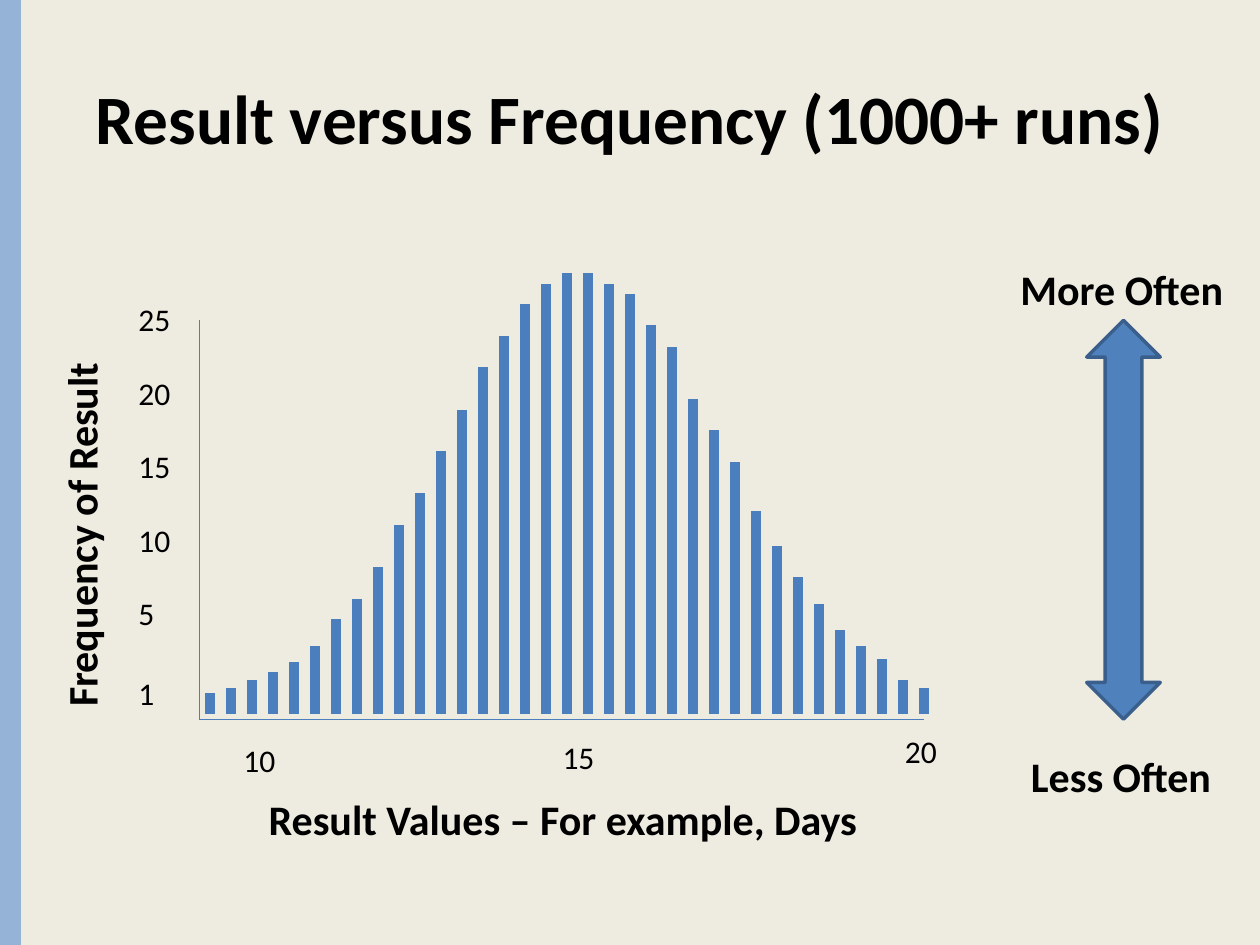
from lxml import etree
from pptx import Presentation
from pptx.dml.color import RGBColor
from pptx.enum.shapes import MSO_CONNECTOR, MSO_SHAPE
from pptx.enum.text import MSO_ANCHOR, PP_ALIGN
from pptx.oxml.ns import qn
from pptx.util import Inches, Pt

STRAIGHT = MSO_CONNECTOR.STRAIGHT
RECT, ARROW = MSO_SHAPE.RECTANGLE, MSO_SHAPE.UP_DOWN_ARROW
LEFT, CENTER = PP_ALIGN.LEFT, PP_ALIGN.CENTER
TOP, MIDDLE = MSO_ANCHOR.TOP, MSO_ANCHOR.MIDDLE

# The slide is a grid of 60 columns and 45 rows
COLS, ROWS = 60, 45
BLUE = "4B7EBC"

# Bar heights in rows, one bar per column
BARS = [1, 1.25, 1.6, 2, 2.5, 3.25, 4.5, 5.5, 7, 9, 10.5, 12.5,
        14.5, 16.5, 18, 19.5, 20.5, 21, 21, 20.5, 20, 18.5, 17.5, 15,
        13.5, 12, 9.65, 8, 6.5, 5.25, 4, 3.25, 2.6, 1.6, 1.25]


def grid(*cells):
    return [Inches(n * 10 / COLS) for n in cells]


def color(code):
    return RGBColor.from_string(code)


def write(shape, text, size=24, bold=False, align=LEFT, anchor=TOP):
    frame = shape.text_frame
    frame.word_wrap = True
    frame.vertical_anchor = anchor
    frame.text = text
    para = frame.paragraphs[0]
    para.alignment = align
    font = para.runs[0].font
    font.name, font.size, font.bold = "Calibri", Pt(size), bold
    font.color.rgb = color("000000")


def label(slide, text, x, y, w, h=3, turn=0, **style):
    box = slide.shapes.add_textbox(*grid(x, y, w, h))
    box.rotation = turn
    write(box, text, **style)


def line(slide, x1, y1, x2, y2, width):
    rule = slide.shapes.add_connector(STRAIGHT, *grid(x1, y1, x2, y2))
    rule.line.color.rgb = color(BLUE)
    rule.line.width = Pt(width)
    etree.SubElement(rule._element.spPr, qn("a:effectLst"))


def block(slide, kind, x, y, w, h, fill, edge=None):
    shape = slide.shapes.add_shape(kind, *grid(x, y, w, h))
    shape.shadow.inherit = False
    shape.fill.solid()
    shape.fill.fore_color.rgb = color(fill)
    if edge:
        shape.line.color.rgb = color(edge)
        shape.line.width = Pt(2)
    else:
        shape.line.fill.background()


def heading(slide, x, y, w, h):
    title = slide.shapes.title
    title.left, title.top, title.width, title.height = grid(x, y, w, h)
    write(title, "Result versus Frequency (1000+ runs)", size=39.6,
          bold=True, align=CENTER, anchor=MIDDLE)


def plot(slide, x, y, w, h):
    base = y + h
    # Bars stand a quarter row above the axis
    for i, tall in enumerate(BARS):
        col = x + 0.5 + i
        line(slide, col, base - 0.25, col, base - 0.25 - tall, 6)
    # Axes
    line(slide, x, y + 2.25, x, base, 0.75)
    line(slide, x + w, base, x, base, 0.75)
    # Values along the axes
    for i, value in enumerate([25, 20, 15, 10, 5]):
        label(slide, str(value), x - 3.5, y + 1 + i * 3.5, 3, 2.4, size=18)
    label(slide, "1", x - 3.5, base - 2.45, 3, 2.4, size=18)
    for value, dx, dy in [(10, 1.5, 0.75), (15, 16.7, 0.6), (20, 33, 0.3)]:
        label(slide, str(value), x + dx, base + dy, 3, 2.4, size=18)
    # Axis names
    label(slide, "Result Values – For example, Days",
          x + 2.7, base + 3.25, 31, bold=True)
    label(slide, "Frequency of Result", x - 14.95, y + 10.45, 18.6,
          turn=270, bold=True)


def scale(slide, x, y, w, h):
    label(slide, "More Often", x, y, w, bold=True)
    block(slide, ARROW, x + 3.75, y + 3, 3.5, h - 7.2, "4F81BD", "3A5F8C")
    label(slide, "Less Often", x + 0.5, y + h - 3, w - 0.75, bold=True)


def main():
    deck = Presentation()
    deck.slide_width, deck.slide_height = grid(COLS, ROWS)
    slide = deck.slides.add_slide(deck.slide_layouts[5])
    slide.background.fill.solid()
    slide.background.fill.fore_color.rgb = color("EEECE1")

    block(slide, RECT, 0, 0, 1, ROWS, "95B3D7")  # side band
    heading(slide, 3, 1.8, 54, 7.5)
    plot(slide, 9.5, 13, 34.5, 21.25)
    scale(slide, 48, 12.25, 11, 26.2)
    deck.save("out.pptx")


if __name__ == "__main__":
    main()
